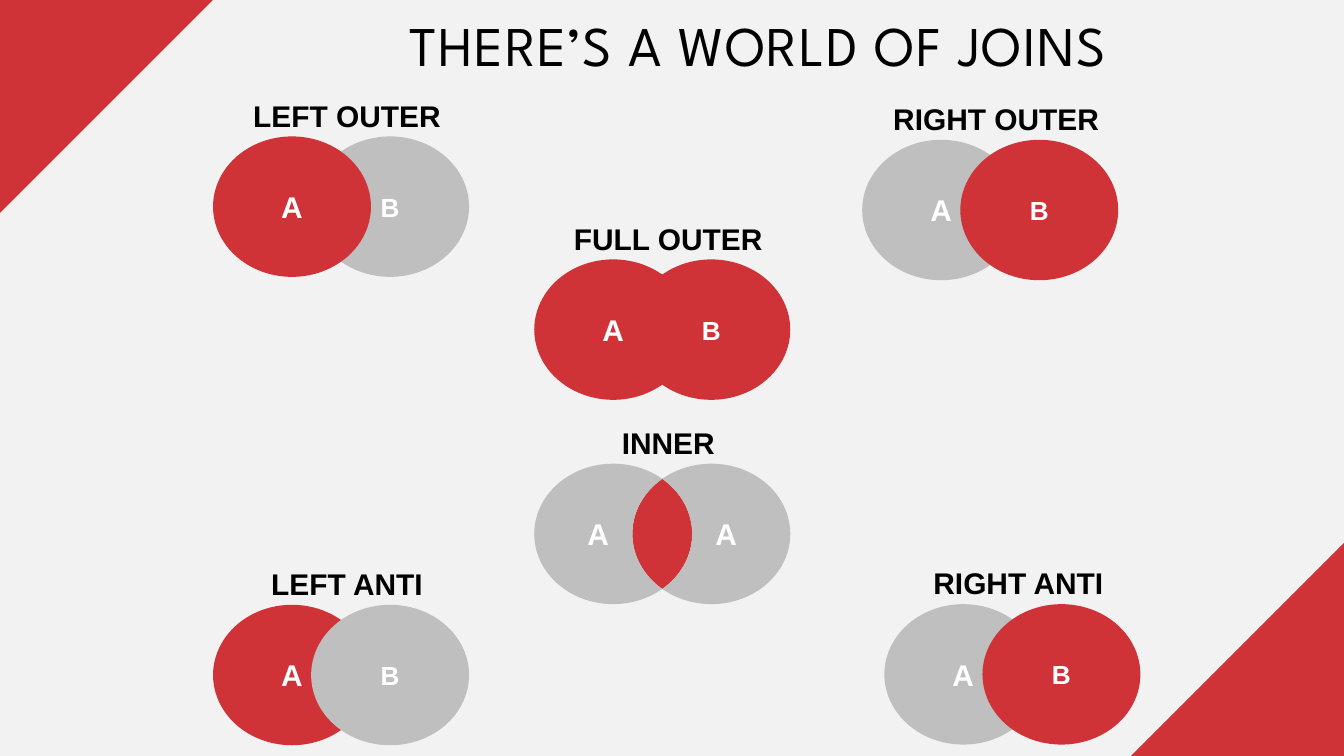
from math import acos, cos, pi, sin, tan
from lxml import etree
from pptx import Presentation
from pptx.dml.color import RGBColor
from pptx.enum.shapes import MSO_SHAPE
from pptx.enum.text import MSO_ANCHOR, MSO_AUTO_SIZE, PP_ALIGN
from pptx.oxml.ns import qn
from pptx.util import Inches, Pt

OVAL = MSO_SHAPE.OVAL
CENTER = PP_ALIGN.CENTER
TOP, MIDDLE = MSO_ANCHOR.TOP, MSO_ANCHOR.MIDDLE
RED, GREY, WHITE, BLACK, PALE = "CF3338", "BFBFBF", "FFFFFF", "000000", "F2F2F2"

prs = Presentation()
prs.slide_width, prs.slide_height = Inches(20), Inches(11.25)
U = prs.slide_width // 20  # grid unit: 20 columns by 11.25 rows
s = prs.slides.add_slide(prs.slide_layouts[5])


def paint(fill, color):
    fill.solid()
    fill.fore_color.rgb = RGBColor.from_string(color)


def finish(sp, color=None, text="", size=32, ink=WHITE):
    """Fill a shape without outline and write one bold, centred run."""
    if color:
        paint(sp.fill, color)
        sp.line.fill.background()
        sp.shadow.inherit = False
    if text:
        tf = sp.text_frame
        tf.word_wrap = True
        tf.vertical_anchor = MIDDLE if color else TOP
        p = tf.paragraphs[0]
        p.alignment = CENTER
        r = p.add_run()
        r.text = text
        r.font.name, r.font.size, r.font.bold = "Arial", Pt(size), True
        r.font.color.rgb = RGBColor.from_string(ink)


paint(s.background.fill, PALE)

# Corner triangles
LEG = 3.17
for x, y, side in ((0, 0, LEG), (20, 11.25, -LEG)):
    fb = s.shapes.build_freeform(round(x * U), round(y * U))
    fb.add_line_segments([(round((x + side) * U), round(y * U)),
                          (round(x * U), round((y + side) * U))])
    finish(fb.convert_to_shape(), RED)

# Title
title = s.shapes.title
title.left, title.top, title.width, title.height = (
    round(v * U) for v in (4.17, 0.62, 13.94, 0.65))
tf = title.text_frame
tf.margin_left = tf.margin_top = tf.margin_right = tf.margin_bottom = 0
tf.vertical_anchor, tf.auto_size, tf.word_wrap = TOP, MSO_AUTO_SIZE.NONE, True
p = tf.paragraphs[0]
p.alignment, p.line_spacing = CENTER, Pt(38.4)
p._p.get_or_add_pPr().set("marL", str(round(0.29 * U)))
r = p.add_run()
r.text = "THERE’S A WORLD OF JOINS"
r.font.name, r.font.size = "League Spartan", Pt(60)
r.font.color.rgb = RGBColor.from_string(BLACK)
r._r.get_or_add_rPr().set("spc", "160")

# Join diagrams: label, left, top, colour of A, colour of B, circle in front
OVAL_W, OVAL_H, STEP = 2.35, 2.09, 1.46
INNER_X, INNER_Y = 7.95, 6.9
joins = [
    ("LEFT OUTER", 3.17, 2.03, RED, GREY, "A"),
    ("FULL OUTER", 7.95, 3.86, RED, RED, "A"),
    ("RIGHT OUTER", 12.83, 2.08, GREY, RED, "B"),
    ("INNER", INNER_X, INNER_Y, None, None, None),
    ("LEFT ANTI", 3.17, 9, RED, GREY, "B"),
    ("RIGHT ANTI", 13.16, 8.99, GREY, RED, "B"),
]
for label, x, y, a_color, b_color, front in joins:
    if front:
        circles = [("A", x, a_color, 32), ("B", x + STEP, b_color, 28)]
        for name, left, color, size in sorted(circles, key=lambda c: c[0] == front):
            sp = s.shapes.add_shape(OVAL, round(left * U), round(y * U),
                                    round(OVAL_W * U), round(OVAL_H * U))
            finish(sp, color, name, size)
    box = s.shapes.add_textbox(round((x + 0.33) * U), round((y - 0.63) * U),
                               round(3.33 * U), round(0.64 * U))
    finish(box, text=label, ink=BLACK)

# Inner join: each region is bounded by one arc of A and one arc of B
RX, RY = OVAL_W / 2, OVAL_H / 2
A_X = INNER_X + RX
B_X = A_X + STEP
t = acos(STEP / 2 / RX)  # angle at which the two outlines cross
regions = [
    (RED, "", (A_X, -t, t), (B_X, pi - t, pi + t)),
    (GREY, "A", (B_X, t - pi, pi - t), (A_X, t, -t)),
    (GREY, "A", (A_X, t, 2 * pi - t), (B_X, pi + t, pi - t)),
]
for color, text, *arcs in regions:
    # Each arc is cut at the quarter turns; a cut gives one Bezier curve
    curves = []
    for cx, start, end in arcs:
        low, high = min(start, end), max(start, end)
        quarters = [q * pi / 2 for q in range(-2, 5) if low < q * pi / 2 < high]
        stops = sorted([start, *quarters, end], reverse=start > end)
        for a, b in zip(stops, stops[1:]):
            k = 4 / 3 * tan((b - a) / 4)
            unit = [(cos(a), sin(a)),
                    (cos(a) - k * sin(a), sin(a) + k * cos(a)),
                    (cos(b) + k * sin(b), sin(b) - k * cos(b)),
                    (cos(b), sin(b))]
            curves.append([(round((cx + RX * ux) * U),
                            round((INNER_Y + RY + RY * uy) * U)) for ux, uy in unit])
    fb = s.shapes.build_freeform(*curves[0][0])
    fb.add_line_segments([curve[-1] for curve in curves])
    sp = fb.convert_to_shape()
    for line, curve in zip(sp._element.findall(".//" + qn("a:lnTo")), curves):
        bezier = etree.Element(qn("a:cubicBezTo"))
        for px, py in curve[1:]:
            etree.SubElement(bezier, qn("a:pt"), x=str(px - sp.left), y=str(py - sp.top))
        line.getparent().replace(line, bezier)
    finish(sp, color, text)

prs.save("out.pptx")
